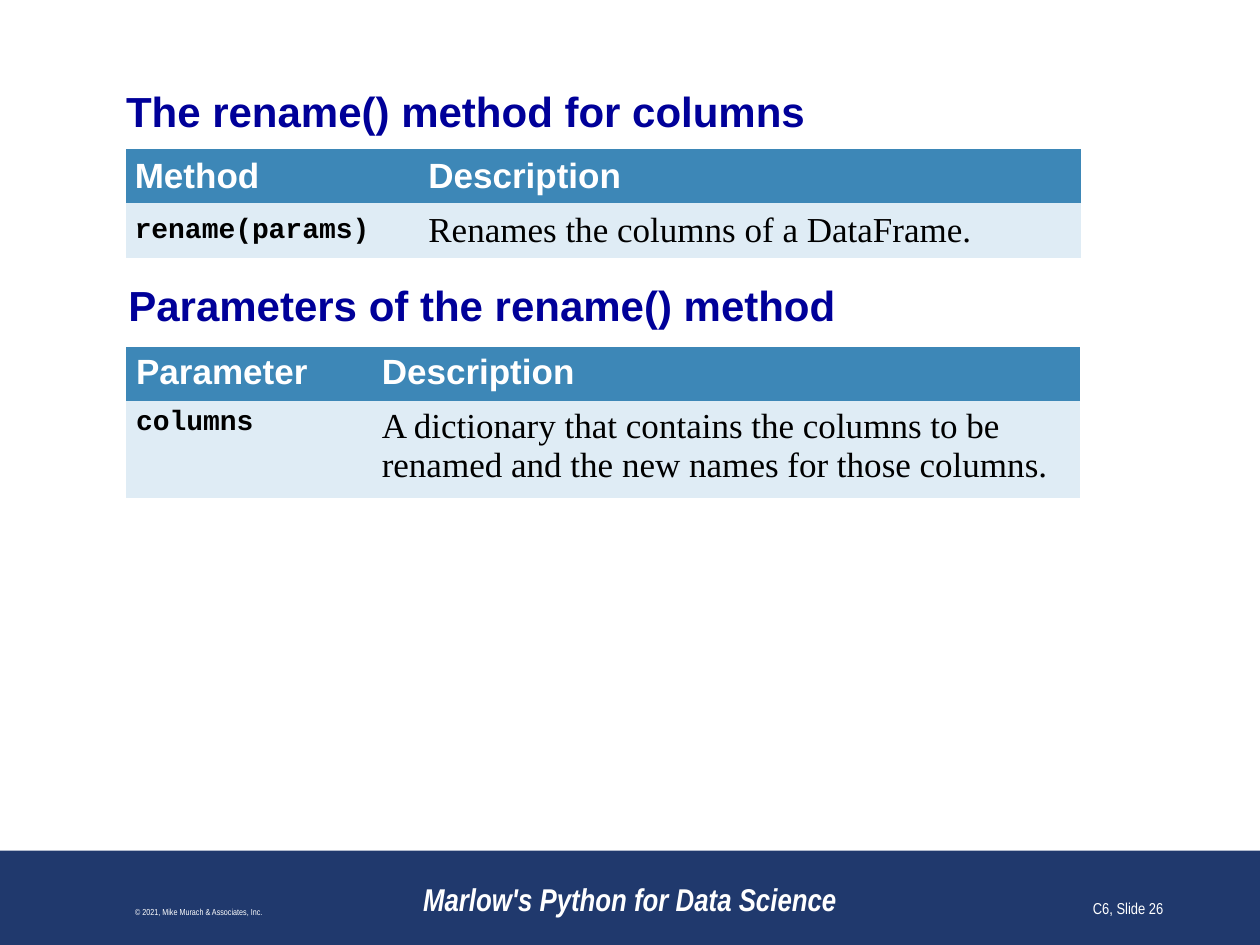
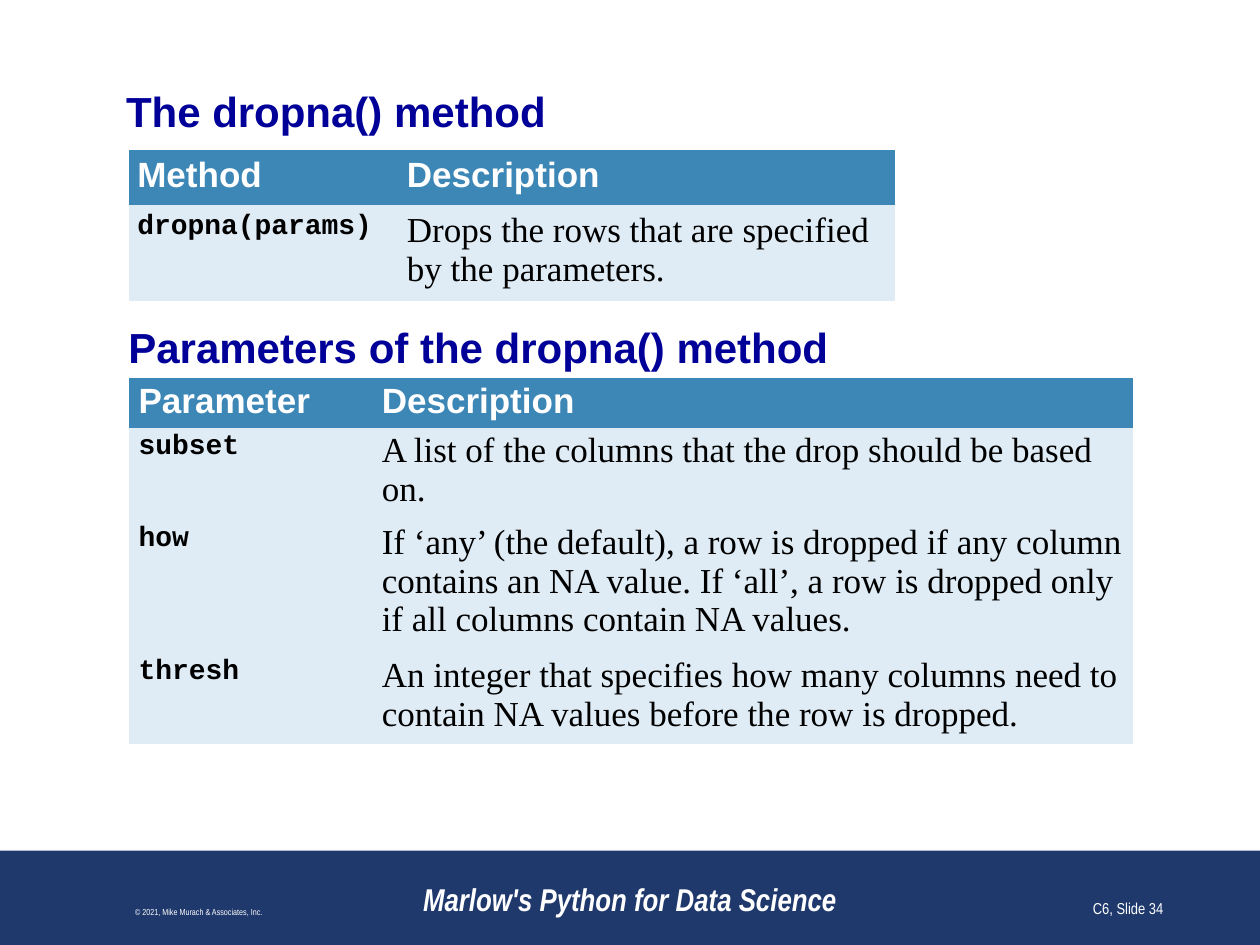
from typing import NamedTuple

from pptx import Presentation
from pptx.dml.color import RGBColor
from pptx.enum import shapes, text
from pptx.oxml import ns
from pptx.util import Inches, Pt

# Shared colours
WHITE = RGBColor(0xFF, 0xFF, 0xFF)
BLACK = RGBColor(0x00, 0x00, 0x00)
NAVY = RGBColor(0x20, 0x39, 0x6D)
HEADING_BLUE = RGBColor(0x00, 0x00, 0x99)
HEADER_BLUE = RGBColor(0x3D, 0x87, 0xB7)
PALE_BLUE = RGBColor(0xDF, 0xEC, 0xF5)

PLAIN_TABLE_STYLE = "{2D5ABB26-0587-4C30-8999-92F81FD0307C}"
BOOK_TITLE = "Marlow's Python for Data Science"
COPYRIGHT = "© 2021, Mike Murach & Associates, Inc."


class TextStyle(NamedTuple):
    font: str
    size: float
    color: RGBColor
    bold: bool = False
    italic: bool = False


HEADING = TextStyle("Arial", 24, HEADING_BLUE, bold=True)
TABLE_HEADER = TextStyle("Arial", 20, WHITE, bold=True)
CODE = TextStyle("Courier New", 16, BLACK, bold=True)
BODY = TextStyle("Times New Roman", 20, BLACK)
BOOK = TextStyle("Arial Narrow", 18, WHITE, bold=True, italic=True)
SMALL_PRINT = TextStyle("Arial Narrow", 5, WHITE)
PAGE_NUMBER = TextStyle("Arial Narrow", 9, WHITE)


class Grid(NamedTuple):
    """A two-column table of code names and their descriptions."""
    left: float
    top: float
    widths: tuple[float, float]
    heights: tuple[float, ...]
    rows: tuple[tuple[str, str], ...]
    side_margin: float = 0.08
    end_margin: float = 0.05
    anchor: text.MSO_ANCHOR = text.MSO_ANCHOR.TOP


class MethodPage(NamedTuple):
    number: int
    title: str
    method: Grid
    subtitle: str
    subtitle_top: float
    parameters: Grid


PAGES = (
    MethodPage(
        26,
        "The rename() method for columns",
        Grid(1, 1.18, (2.33, 5.25), (0.41, 0.41), (
            ("Method", "Description"),
            ("rename(params)", "Renames the columns of a DataFrame."),
        ), side_margin=0.07, anchor=text.MSO_ANCHOR.MIDDLE),
        "Parameters of the rename() method",
        2.17,
        Grid(1, 2.75, (1.95, 5.62), (0.41, 0.72), (
            ("Parameter", "Description"),
            ("columns", "A dictionary that contains the columns to be "
                        "renamed and the new names for those columns."),
        )),
    ),
    MethodPage(
        34,
        "The dropna() method",
        Grid(1.02, 1.19, (2.14, 3.94), (0.41, 0.72), (
            ("Method", "Description"),
            ("dropna(params)",
             "Drops the rows that are specified by the parameters."),
        ), side_margin=0.07),
        "Parameters of the dropna() method",
        2.5,
        Grid(1.02, 3, (1.93, 6.04), (0.37, 0.68, 0.99, 0.68), (
            ("Parameter", "Description"),
            ("subset",
             "A list of the columns that the drop should be based on."),
            ("how", "If ‘any’ (the default), a row is dropped if any column "
                    "contains an NA value. If ‘all’, a row is dropped only "
                    "if all columns contain NA values."),
            ("thresh", "An integer that specifies how many columns need to "
                       "contain NA values before the row is dropped."),
        ), end_margin=0.03),
    ),
)


def write(frame, words: str, style: TextStyle,
          align: text.PP_ALIGN = text.PP_ALIGN.LEFT) -> None:
    frame.word_wrap = True
    para = frame.paragraphs[0]
    para.text = words
    para.alignment = align
    font = para.font
    font.name, font.size = style.font, Pt(style.size)
    font.bold, font.italic = style.bold, style.italic
    font.color.rgb = style.color


def set_margins(target, side: float, end: float) -> None:
    target.margin_left = target.margin_right = Inches(side)
    target.margin_top = target.margin_bottom = Inches(end)


def place(shape, left: float, top: float, width: float, height: float) -> None:
    shape.left, shape.top = Inches(left), Inches(top)
    shape.width, shape.height = Inches(width), Inches(height)


def add_text(page, words: str, style: TextStyle, left: float, top: float,
             width: float, height: float, align=text.PP_ALIGN.LEFT,
             anchor=text.MSO_ANCHOR.TOP):
    box = page.shapes.add_textbox(0, 0, 0, 0)
    place(box, left, top, width, height)
    box.text_frame.vertical_anchor = anchor
    write(box.text_frame, words, style, align)
    return box


def add_title(page, words: str) -> None:
    title = page.shapes.title
    place(title, 1, 0.68, 8, 0.4)
    frame = title.text_frame
    frame.auto_size = text.MSO_AUTO_SIZE.SHAPE_TO_FIT_TEXT
    frame.vertical_anchor = text.MSO_ANCHOR.MIDDLE
    set_margins(frame, 0, 0)
    write(frame, words, HEADING)


def add_subtitle(page, words: str, top: float) -> None:
    box = add_text(page, words, HEADING, 0.92, top, 8.08, 0.5)
    box.fill.solid()
    box.fill.fore_color.rgb = WHITE


def add_grid(page, grid: Grid) -> None:
    frame = page.shapes.add_table(
        len(grid.rows), len(grid.widths), Inches(grid.left), Inches(grid.top),
        Inches(sum(grid.widths)), Inches(sum(grid.heights)))
    table = frame.table
    table.horz_banding = False
    style_id = frame._element.find(".//" + ns.qn("a:tableStyleId"))
    style_id.text = PLAIN_TABLE_STYLE
    for column, width in zip(table.columns, grid.widths):
        column.width = Inches(width)
    for row, height in zip(table.rows, grid.heights):
        row.height = Inches(height)

    for row_index, words in enumerate(grid.rows):
        is_header = row_index == 0
        styles = (TABLE_HEADER, TABLE_HEADER) if is_header else (CODE, BODY)
        for column_index, style in enumerate(styles):
            cell = table.cell(row_index, column_index)
            cell.fill.solid()
            cell.fill.fore_color.rgb = HEADER_BLUE if is_header else PALE_BLUE
            cell.vertical_anchor = grid.anchor
            set_margins(cell, grid.side_margin, grid.end_margin)
            write(cell.text_frame, words[column_index], style)


def add_footer(page, number: int) -> None:
    band = page.shapes.add_shape(shapes.MSO_SHAPE.RECTANGLE, 0, 0, 0, 0)
    place(band, 0, 6.75, 10, 0.75)
    band.shadow.inherit = False
    band.fill.solid()
    band.fill.fore_color.rgb = NAVY
    band.line.fill.background()
    center, right = text.PP_ALIGN.CENTER, text.PP_ALIGN.RIGHT
    for words, style, left, width, align in (
        (BOOK_TITLE, BOOK, 3, 4, center),
        (COPYRIGHT, SMALL_PRINT, 0.08, 3, center),
        (f"C6, Slide {number}", PAGE_NUMBER, 7.25, 2.08, right),
    ):
        add_text(page, words, style, left, 6.83, width, 0.5, align,
                 text.MSO_ANCHOR.BOTTOM)


def main() -> None:
    deck = Presentation()
    deck.slide_width, deck.slide_height = Inches(10), Inches(7.5)
    title_only = deck.slide_layouts.get_by_name("Title Only")
    for content in PAGES:
        page = deck.slides.add_slide(title_only)
        add_footer(page, content.number)
        add_title(page, content.title)
        add_grid(page, content.method)
        add_subtitle(page, content.subtitle, content.subtitle_top)
        add_grid(page, content.parameters)
    deck.save("out.pptx")


if __name__ == "__main__":
    main()
